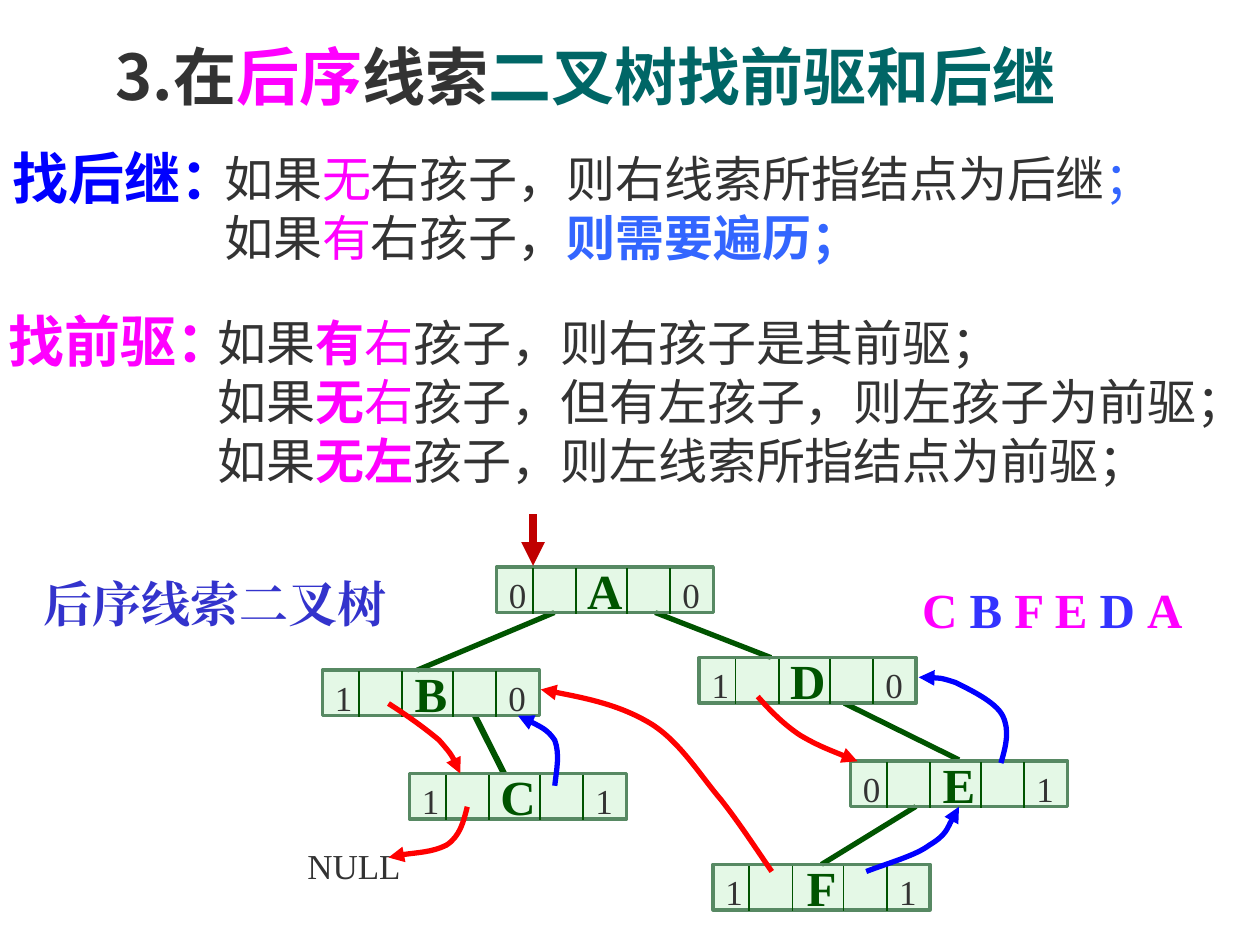
from lxml.etree import SubElement as add_child
from pptx import Presentation
from pptx.dml.color import RGBColor
from pptx.enum.shapes import MSO_CONNECTOR as Connector, MSO_SHAPE as Shape
from pptx.enum.text import MSO_ANCHOR as Anchor, MSO_AUTO_SIZE as AutoSize, PP_ALIGN as Align
from pptx.oxml.ns import qn
from pptx.util import Pt

COLORS = {
    "text": "333333", "magenta": "FF00FF", "sky": "3366FF", "blue": "0000FF",
    "indigo": "3333CC", "violet": "3333FF", "teal": "006666", "red": "FF0000",
    "crimson": "C00000", "green": "005400", "mint": "CAF2CE", "frame": "578963",
}
SANS, SERIF = "Noto Sans CJK SC", "Times New Roman"
NODE_WIDTH, NODE_HEIGHT = 124, 26
DIVIDERS = (20.7, 45.4, 74.5, 99.2)

# letter: left, top, left tag, right tag
NODES = {
    "A": (283.7, 324, "0", "0"),
    "B": (184.3, 383, "1", "0"),
    "D": (399.6, 375.8, "1", "0"),
    "C": (234, 442, "1", "1"),
    "E": (486, 434.9, "0", "1"),
    "F": (407.5, 493.9, "1", "1"),
}
BRANCHES = [
    (316.8, 350, 238.3, 383, 3), (374.4, 350, 440.6, 375.8, 3),
    (271.4, 409, 288, 442, 3.5), (482.4, 401.8, 548, 434.2, 3),
    (523.4, 460.8, 469.4, 494, 3),
]
# colour, then the start point followed by Bezier control points
THREADS = [
    ("red", [(222, 402), (233, 409), (244, 417), (251, 423),
             (258, 431), (261, 436), (263, 442)]),
    ("red", [(441, 498), (432, 485), (423, 471), (412, 457), (400, 443),
             (388, 423), (371, 413), (354, 403), (331, 398), (309, 394)]),
    ("red", [(433, 398), (440, 406), (448, 414), (457, 420),
             (467, 426), (485, 433), (490, 435)]),
    ("blue", [(317, 449), (318, 440), (320, 431), (317, 423),
              (313, 417), (305, 413), (296, 409)]),
    ("blue", [(495, 498), (508, 493), (523, 489), (531, 483),
              (541, 477), (546, 464), (548, 461)]),
    ("red", [(267, 461), (265, 469), (263, 478), (255, 483),
             (247, 487), (228, 488), (222, 490)]),
    ("blue", [(572, 436), (575, 426), (577, 417), (573, 409), (569, 401),
              (554, 394), (546, 390), (537, 387), (531, 387), (525, 387)]),
]


def color(name):
    """Return the named colour."""
    return RGBColor.from_string(COLORS[name])


def add_span(para, text, name, size, font, bold=False):
    """Append one run, with the font set for Latin and East Asian text."""
    span = para.add_run()
    span.text = text
    span.font.size, span.font.bold, span.font.name = Pt(size), bold, font
    span.font.color.rgb = color(name)
    add_child(span.font._element, qn("a:ea"), typeface=font)


def add_text(shapes, frame, lines, size, font, wrap=True, grow=True):
    """Add a text box; each line is a list of (text, colour, bold)."""
    box = shapes.add_textbox(*map(Pt, frame))
    body = box.text_frame
    body.word_wrap = wrap
    body.auto_size = AutoSize.SHAPE_TO_FIT_TEXT if grow else AutoSize.NONE
    for index, line in enumerate(lines):
        para = body.add_paragraph() if index else body.paragraphs[0]
        for text, name, bold in line:
            add_span(para, text, name, size, font, bold)
    return box


def style_line(shape, name, width, arrow=False):
    """Set colour and width of a line, with an optional arrowhead."""
    shape.line.color.rgb = color(name)
    shape.line.width = Pt(width)
    if arrow:
        add_child(shape.line._get_or_add_ln(), qn("a:tailEnd"), type="triangle")


def add_line(shapes, x1, y1, x2, y2, name, width, arrow=False):
    """Add a straight line without a shadow."""
    line = shapes.add_connector(Connector.STRAIGHT, Pt(x1), Pt(y1), Pt(x2), Pt(y2))
    style_line(line, name, width, arrow)
    add_child(line._element.spPr, qn("a:effectLst"))


def add_thread(shapes, name, points):
    """Add a curved arrow through Bezier control points."""
    start, *controls = [(Pt(x), Pt(y)) for x, y in points]
    builder = shapes.build_freeform(*start)
    builder.add_line_segments(controls, close=False)
    curve = builder.convert_to_shape()
    curve.shadow.inherit = False
    curve.fill.background()
    style_line(curve, name, 3, arrow=True)
    segments = curve._element.xpath(".//a:lnTo")
    outline = segments[0].getparent()
    for index, segment in enumerate(segments):
        if index % 3 == 0:
            bezier = add_child(outline, qn("a:cubicBezTo"))
        bezier.append(segment[0])
        outline.remove(segment)


def add_node(shapes, letter, left, top):
    """Add a five-field tree node."""
    node = shapes.add_shape(Shape.RECTANGLE, Pt(left), Pt(top), Pt(NODE_WIDTH), Pt(NODE_HEIGHT))
    node.shadow.inherit = False
    node.fill.solid()
    node.fill.fore_color.rgb = color("mint")
    add_child(node._element.xpath("./p:spPr/a:solidFill/a:srgbClr")[0], qn("a:alpha"), val="50000")
    style_line(node, "frame", 2)
    body = node.text_frame
    body.word_wrap, body.vertical_anchor = False, Anchor.MIDDLE
    para = body.paragraphs[0]
    para.alignment = Align.CENTER
    add_span(para, letter, "green", 28, SERIF, True)
    for offset in DIVIDERS:
        x = left + offset
        add_line(shapes, x, top + 0.7, x, top + 0.7 + NODE_HEIGHT, "green", 1)


def add_tree(shapes):
    """Add branches, nodes, tags and threads of the binary tree."""
    for *ends, width in BRANCHES:
        add_line(shapes, *ends, "green", width)
    for letter, (left, top, _, _) in NODES.items():
        add_node(shapes, letter, left, top)
    for left, top, *tags in NODES.values():
        for x, tag in zip((left, left + DIVIDERS[-1]), tags):
            add_text(shapes, (x, top, 25, 31), [[(tag, "text", False)]], 20, SERIF)
    for name, points in THREADS:
        add_thread(shapes, name, points)
    add_text(shapes, (168.5, 478.8, 70.6, 31), [[("NULL", "text", False)]], 20, SERIF)


def add_rules(shapes):
    """Add the rules for finding successor and predecessor."""
    add_text(shapes, (121, 81.4, 594, 74.2), [
        [("如果", "text", False), ("无", "magenta", False),
         ("右孩子，则右线索所指结点为后继", "text", False), ("；", "sky", False)],
        [("如果", "text", False), ("有", "magenta", False),
         ("右孩子，", "text", False), ("则需要遍历；", "sky", True)],
    ], 28, SANS)
    add_text(shapes, (117.4, 175, 602.6, 108), [
        [("如果", "text", False), ("有", "magenta", True), ("右", "magenta", False),
         ("孩子，则右孩子是其前驱；", "text", False)],
        [("如果", "text", False), ("无", "magenta", True), ("右", "magenta", False),
         ("孩子，但有左孩子，则左孩子为前驱；", "text", False)],
        [("如果", "text", False), ("无左", "magenta", True),
         ("孩子，则左线索所指结点为前驱；", "text", False)],
    ], 28, SANS, wrap=False)


def main():
    """Build the slide and save it."""
    deck = Presentation()
    deck.slide_width, deck.slide_height = Pt(720), Pt(540)
    page = deck.slides.add_slide(deck.slide_layouts[6])
    shapes = page.shapes
    add_rules(shapes)
    add_text(shapes, (18, 324, 234, 41), [[("后序线索二叉树", "indigo", True)]], 28, SERIF)
    add_text(shapes, (519.8, 327.6, 176.4, 41), [[
        ("C ", "magenta", True), ("B", "violet", True), (" F E ", "magenta", True),
        ("D ", "violet", True), ("A", "magenta", True)]], 28, SERIF)
    add_text(shapes, (0, 78.5, 170, 45.4), [[("找后继：", "blue", True)]], 32, SANS)
    add_text(shapes, (-2.2, 171.4, 163.4, 45.4), [[("找前驱：", "magenta", True)]], 32, SANS)
    add_tree(shapes.add_group_shape().shapes)
    title = add_text(shapes, (59, 7.2, 580.3, 67.7), [[
        ("3.在", "text", True), ("后序", "magenta", True), ("线索", "text", True),
        ("二叉树找前驱和后继", "teal", True)]], 36, SANS, grow=False)
    title.text_frame.paragraphs[0].line_spacing = 1.25
    add_line(shapes, 304.6, 293.8, 304.6, 323.3, "crimson", 4.5, arrow=True)
    deck.save("out.pptx")


main()
